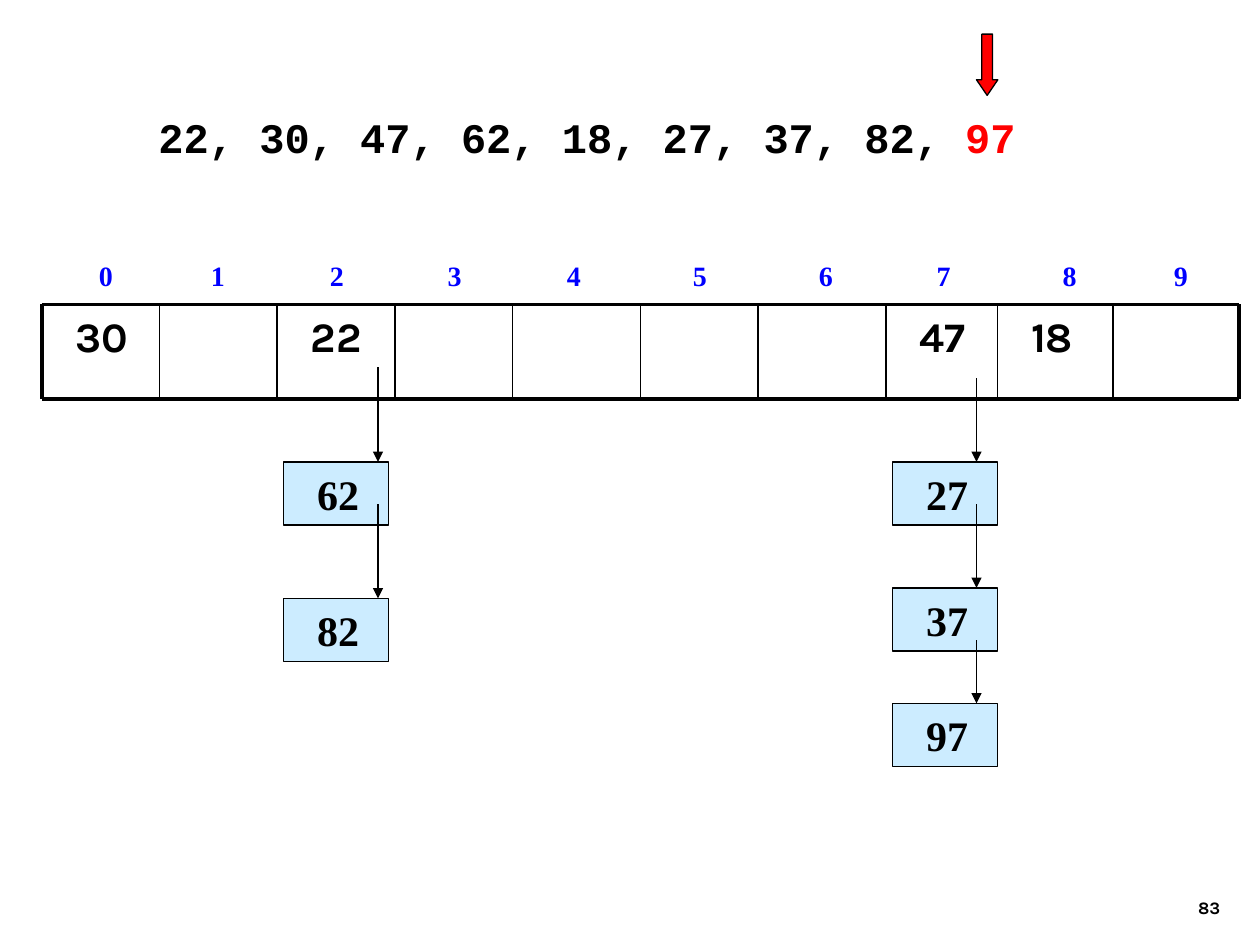
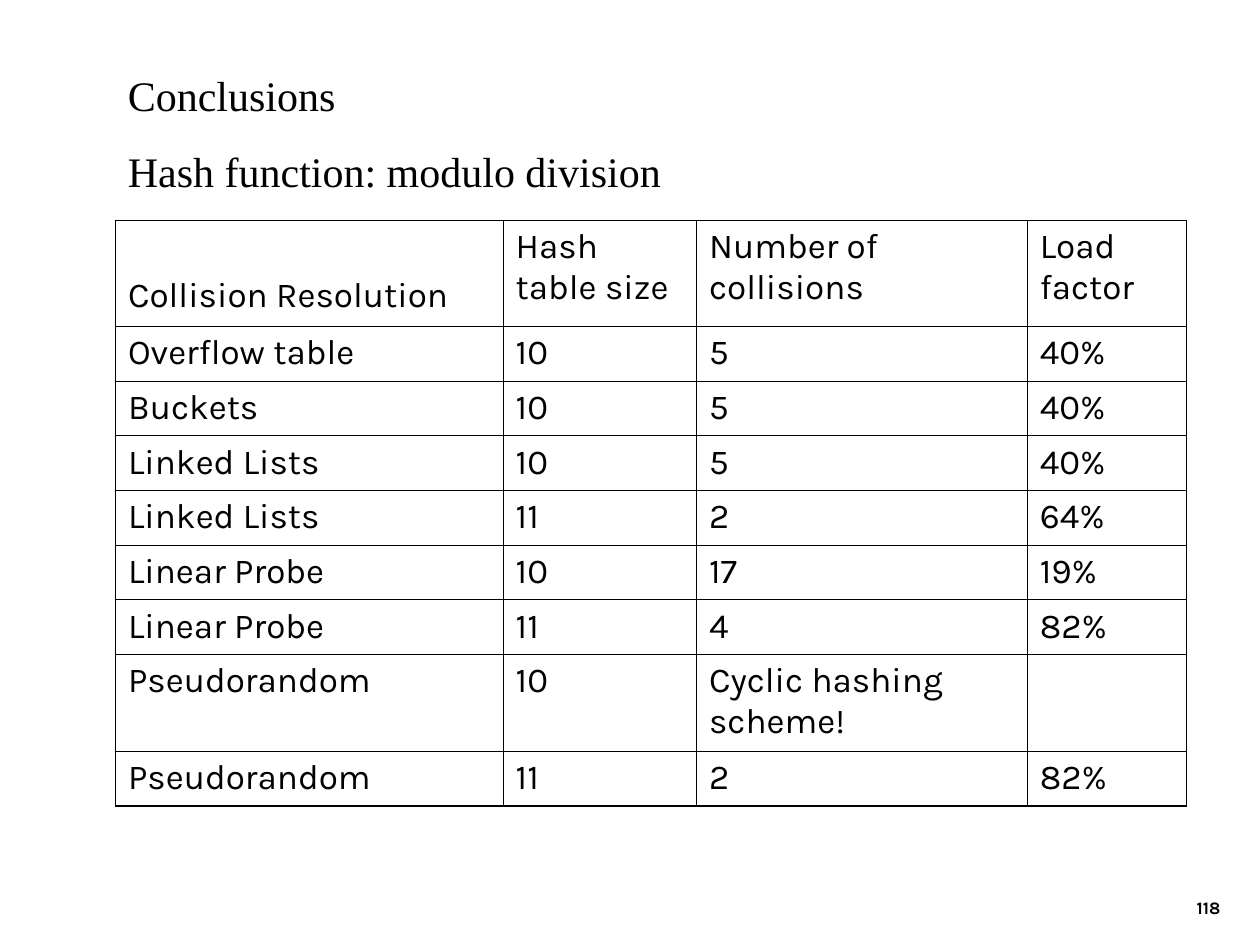
import itertools

import pptx
import pptx.dml.color
import pptx.enum.shapes
import pptx.enum.text
import pptx.oxml
import pptx.oxml.ns
import pptx.util

Pt = pptx.util.Pt
RGBColor = pptx.dml.color.RGBColor
SHAPES = pptx.enum.shapes.MSO_SHAPE
ANCHOR = pptx.enum.text.MSO_ANCHOR
ALIGN = pptx.enum.text.PP_ALIGN

BLACK = RGBColor(0x00, 0x00, 0x00)
BLUE = RGBColor(0x00, 0x00, 0xFF)
RED = RGBColor(0xFF, 0x00, 0x00)
PALE_BLUE = RGBColor(0xCC, 0xEC, 0xFF)

SANS = "Karla"
SERIF = "Times New Roman"
MONO = "Courier New"

VALUE_INSET = 19.2
PAGE_NUMBER_BOX = (554.4, 492, 150, 36)

BUCKET_WIDTHS = [67.2, 67.2, 67.2, 67.2, 73.2, 67.2, 73.2, 63.6, 66, 72]
BUCKET_EDGES = list(itertools.accumulate(BUCKET_WIDTHS, initial=0))
BUCKET_VALUES = {0: "30", 2: "22", 7: "47", 8: "18"}
INDEX_CENTRES = [35.4, 99.4, 167.4, 234.8, 302.8, 374.8, 446.8, 514.2, 586.2, 649.7]

NODE_WIDTH, NODE_HEIGHT = 60, 36
NODE_GAP = 3.6
CHAINS = [
    (2, 54, [("62", 36, 90), ("82", 114, 168)]),
    (7, 48, [("27", 42, 90), ("37", 114, 162), ("97", 192, 228)]),
]

COLUMN_WIDTHS = [221.5, 110.5, 189, 91]
ROW_HEIGHTS = [60.5] + [31.2] * 6 + [55, 31.2]
RESULTS = [
    ("Collision Resolution", "Hash table size", "Number of collisions", "Load factor"),
    ("Overflow table", "10", "5", "40%"),
    ("Buckets", "10", "5", "40%"),
    ("Linked Lists", "10", "5", "40%"),
    ("Linked Lists", "11", "2", "64%"),
    ("Linear Probe", "10", "17", "19%"),
    ("Linear Probe", "11", "4", "82%"),
    ("Pseudorandom", "10", "Cyclic hashing scheme!", ""),
    ("Pseudorandom", "11", "2", "82%"),
]


def in_points(box):
    return [Pt(length) for length in box]


def add_run(paragraph, text, font, size, color=BLACK, bold=False):
    run = paragraph.add_run()
    run.text = text
    run.font.name = font
    run.font.size = Pt(size)
    run.font.bold = bold
    run.font.color.rgb = color


def add_text_box(slide, box, inset=7.2, wrap=True):
    frame = slide.shapes.add_textbox(*in_points(box)).text_frame
    frame.word_wrap = wrap
    frame.margin_left = Pt(inset)
    return frame


def add_filled_shape(slide, preset, box, fill):
    shape = slide.shapes.add_shape(preset, *in_points(box))
    shape.shadow.inherit = False
    shape.fill.solid()
    shape.fill.fore_color.rgb = fill
    shape.line.color.rgb = BLACK
    shape.line.width = Pt(0.75)
    return shape


def add_line(slide, start, end, width, arrow=False):
    line = slide.shapes.add_connector(
        pptx.enum.shapes.MSO_CONNECTOR.STRAIGHT, *in_points(start + end))
    line.line.color.rgb = BLACK
    line.line.width = Pt(width)
    properties = line._element.spPr
    if arrow:
        head = pptx.oxml.ns.qn("a:tailEnd")
        line.line._get_or_add_ln().makeelement(head)
        pptx.oxml.xmlchemy.OxmlElement("a:tailEnd")
        tail = pptx.oxml.xmlchemy.OxmlElement("a:tailEnd")
        tail.set("type", "triangle")
        line.line._get_or_add_ln().append(tail)
    properties.append(pptx.oxml.xmlchemy.OxmlElement("a:effectLst"))


def add_page_number(slide, box, number):
    frame = add_text_box(slide, box)
    frame.vertical_anchor = ANCHOR.BOTTOM
    frame.paragraphs[0].alignment = ALIGN.RIGHT
    add_run(frame.paragraphs[0], number, SANS, 10, bold=True)


def add_key_sequence(slide, box, inserted, current):
    left, top, width, height = box
    paragraph = add_text_box(slide, box, wrap=False).paragraphs[0]
    add_run(paragraph, inserted, MONO, 24, bold=True)
    add_run(paragraph, current, MONO, 24, RED, bold=True)
    pointer = add_filled_shape(
        slide, SHAPES.DOWN_ARROW, (left + 474.5, top - 40.5, 12.25, 35), RED)
    pointer.adjustments[0] = 0.5
    pointer.adjustments[1] = 0.73


def add_bucket_indexes(slide, box):
    paragraph = add_text_box(slide, box).paragraphs[0]
    tabs = pptx.oxml.xmlchemy.OxmlElement("a:tabLst")
    for centre in INDEX_CENTRES:
        tab = pptx.oxml.xmlchemy.OxmlElement("a:tab")
        tab.set("pos", str(Pt(centre)))
        tab.set("algn", "ctr")
        tabs.append(tab)
    paragraph._p.get_or_add_pPr().append(tabs)
    indexes = "".join(f"\t{index}" for index in range(len(BUCKET_WIDTHS)))
    add_run(paragraph, indexes, SERIF, 16, BLUE, bold=True)


def add_buckets(slide, box):
    left, top, width, height = box
    for bucket, value in BUCKET_VALUES.items():
        cell = (left + BUCKET_EDGES[bucket], top, BUCKET_WIDTHS[bucket], height)
        frame = add_text_box(slide, cell, VALUE_INSET)
        add_run(frame.paragraphs[0], value, SANS, 24, bold=True)
    for y in (top, top + height):
        add_line(slide, (left, y), (left + width, y), 2.25)
    for edge in BUCKET_EDGES:
        weight = 2.25 if edge in (BUCKET_EDGES[0], BUCKET_EDGES[-1]) else 1
        add_line(slide, (left + edge, top), (left + edge, top + height), weight)


def add_chain(slide, box, bucket, link_offset, nodes):
    left, top, width, height = box
    node_left = left + BUCKET_EDGES[bucket] + NODE_GAP
    for value, link_top, node_top in nodes:
        node = add_filled_shape(
            slide, SHAPES.RECTANGLE,
            (node_left, top + node_top, NODE_WIDTH, NODE_HEIGHT), PALE_BLUE)
        frame = node.text_frame
        frame.margin_left = Pt(VALUE_INSET)
        frame.vertical_anchor = ANCHOR.TOP
        frame.paragraphs[0].alignment = ALIGN.LEFT
        add_run(frame.paragraphs[0], value, SERIF, 24, bold=True)
    link_x = node_left + link_offset
    for value, link_top, node_top in nodes:
        add_line(slide, (link_x, top + link_top), (link_x, top + node_top), 0.75, True)


def add_headings(slide, box, headings):
    frame = add_text_box(slide, box)
    for position, heading in enumerate(headings):
        paragraph = frame.add_paragraph() if position else frame.paragraphs[0]
        if position:
            paragraph.space_before = Pt(15)
        add_run(paragraph, heading, SERIF, 24)


def set_border(cell, side, width):
    border = pptx.oxml.parse_xml(
        f'<a:ln{side} {pptx.oxml.ns.nsdecls("a")} w="{Pt(width)}">'
        f'<a:solidFill><a:srgbClr val="{BLACK}"/></a:solidFill></a:ln{side}>')
    cell._tc.get_or_add_tcPr().append(border)


def add_results_table(slide, box):
    last_row, last_column = len(RESULTS) - 1, len(COLUMN_WIDTHS) - 1
    table = slide.shapes.add_table(
        len(RESULTS), len(COLUMN_WIDTHS), *in_points(box)).table
    table.first_row = False
    table.horz_banding = False
    for column, width in zip(table.columns, COLUMN_WIDTHS):
        column.width = Pt(width)
    for row, height in zip(table.rows, ROW_HEIGHTS):
        row.height = Pt(height)
    for r, result in enumerate(RESULTS):
        for c, text in enumerate(result):
            cell = table.cell(r, c)
            outer = {"L": c == 0, "R": c == last_column, "T": r == 0, "B": r == last_row}
            for side, is_outer in outer.items():
                set_border(cell, side, 1.08 if is_outer else 0.45)
            cell.fill.background()
            if text:
                add_run(cell.text_frame.paragraphs[0], text, SANS, 20)
    corner = table.cell(0, 0)
    corner.vertical_anchor = ANCHOR.BOTTOM
    corner.margin_bottom = Pt(6)


def build_chaining_slide(slide):
    buckets_box = (24, 174, BUCKET_EDGES[-1], 54)
    add_page_number(slide, PAGE_NUMBER_BOX, "83")
    add_buckets(slide, buckets_box)
    add_bucket_indexes(slide, (18, 144, 690, 46))
    for bucket, link_offset, nodes in CHAINS:
        add_chain(slide, buckets_box, bucket, link_offset, nodes)
    add_key_sequence(slide, (83.5, 60, 504, 36), "22, 30, 47, 62, 18, 27, 37, 82, ", "97")


def build_conclusions_slide(slide):
    add_page_number(slide, PAGE_NUMBER_BOX, "118")
    add_headings(slide, (66, 36, 564, 474.5),
                 ["Conclusions", "Hash function: modulo division"])
    add_results_table(slide, (66, 126, sum(COLUMN_WIDTHS), sum(ROW_HEIGHTS)))


def main():
    deck = pptx.Presentation()
    deck.slide_width, deck.slide_height = Pt(720), Pt(540)
    for build in (build_chaining_slide, build_conclusions_slide):
        build(deck.slides.add_slide(deck.slide_layouts[6]))
    deck.save("out.pptx")


if __name__ == "__main__":
    main()
